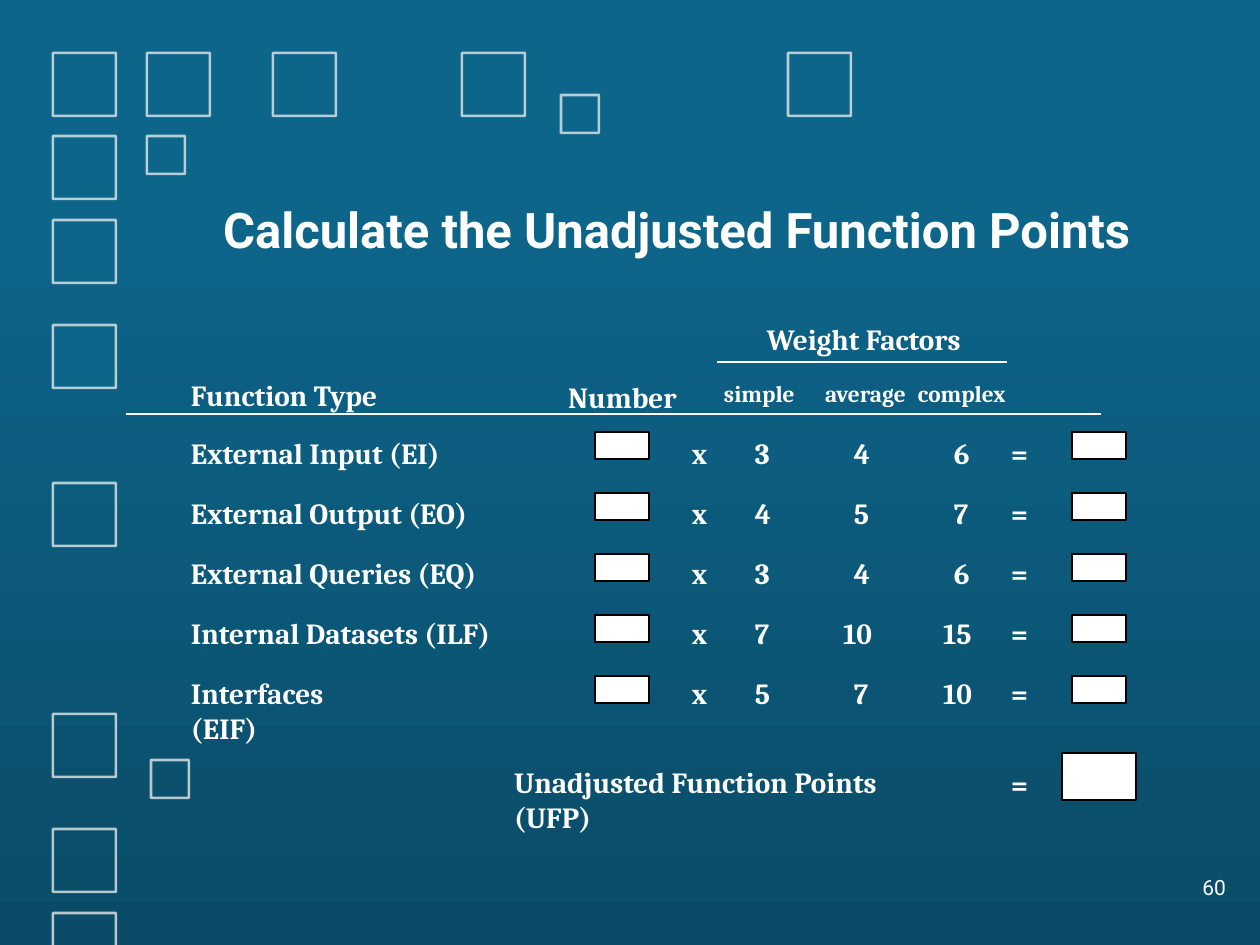
"""Build the slide that calculates unadjusted function points."""
from copy import deepcopy
from dataclasses import dataclass

from lxml import etree
from pptx import Presentation
from pptx.dml.color import RGBColor
from pptx.enum.shapes import MSO_CONNECTOR, MSO_SHAPE
from pptx.enum.text import MSO_ANCHOR, MSO_AUTO_SIZE, PP_ALIGN
from pptx.oxml.ns import qn
from pptx.shapes.autoshape import Shape
from pptx.slide import Slide
from pptx.util import Emu, Pt

SCALE = 914400 / 126
RECTANGLE = MSO_SHAPE.RECTANGLE
STRAIGHT = MSO_CONNECTOR.STRAIGHT
LEFT, CENTER, RIGHT = PP_ALIGN.LEFT, PP_ALIGN.CENTER, PP_ALIGN.RIGHT
TOP, MIDDLE, BOTTOM = MSO_ANCHOR.TOP, MSO_ANCHOR.MIDDLE, MSO_ANCHOR.BOTTOM
GROW, FIXED = MSO_AUTO_SIZE.SHAPE_TO_FIT_TEXT, MSO_AUTO_SIZE.NONE

BLUE = RGBColor(0x0D, 0x65, 0x8A)
DEEP_BLUE = RGBColor(0x0A, 0x4C, 0x68)
PALE = RGBColor(0xF2, 0xF2, 0xF2)
WHITE = RGBColor(0xFF, 0xFF, 0xFF)
BLACK = RGBColor(0x00, 0x00, 0x00)

BODY = {"name": "Cambria", "size": Pt(16.7), "bold": True}
SMALL = {**BODY, "size": Pt(13.3)}
TITLE = {"name": "Roboto", "size": Pt(28), "bold": True}
FOOTER = {"name": "Roboto", "size": Pt(12), "bold": False}

LINE_HEIGHT = 35
NAME_LEFT, TIMES_LEFT, EQUALS_LEFT = 191, 692, 1011
WEIGHT_LEFTS = (755, 854, 954)
DIGIT_WIDTH = 15
ROW_TOP, ROW_STEP = 435, 60
ENTRY_TOP, ENTRY_STEP = 432, 61
ENTRY_LEFTS = (595, 1072)
SQUARE_LEFT, SQUARE_TOP = 53, 53
FILLED_ABOVE = 400


@dataclass(frozen=True)
class Square:
    left: int
    top: int
    size: int = 63


@dataclass(frozen=True)
class FunctionType:
    name: str
    width: int
    weights: tuple[int, int, int]
    wrap: bool = False


@dataclass(frozen=True)
class Heading:
    text: str
    left: int
    top: int
    width: int
    style: dict


SQUARES = [
    *(Square(left, SQUARE_TOP) for left in (SQUARE_LEFT, 147, 273, 462, 788)),
    *(Square(SQUARE_LEFT, top) for top in (136, 220, 325, 483, 714, 829, 913)),
    Square(151, 760, 38), Square(147, 136, 38), Square(561, 95, 38),
]
HEADINGS = [
    Heading("Weight Factors", 767, 321, 200, BODY),
    Heading("Function Type", NAME_LEFT, 377, 195, BODY),
    Heading("simple", 724, 379, 73, SMALL),
    Heading("average", 825, 379, 82, SMALL),
    Heading("complex", 918, 379, 91, SMALL),
]
FUNCTION_TYPES = [
    FunctionType("External Input (EI)", 249, (3, 4, 6)),
    FunctionType("External Output (EO)", 285, (4, 5, 7)),
    FunctionType("External Queries (EQ)", 294, (3, 4, 6)),
    FunctionType("Internal Datasets (ILF)", 302, (7, 10, 15)),
    FunctionType("Interfaces (EIF)", 190, (5, 7, 10), wrap=True),
]


def px(*lengths: int) -> list[Emu]:
    """Turn pixel lengths into EMU."""
    return [Emu(round(length * SCALE)) for length in lengths]


def write(box: Shape, text: str, style: dict, align: PP_ALIGN = LEFT,
          anchor: MSO_ANCHOR = TOP, wrap: bool = False, grow: bool = True,
          margins: tuple[int, int] = (0, 0)) -> None:
    """Put one formatted paragraph into a shape."""
    frame = box.text_frame
    across, down = px(*margins)
    frame_format = {
        "word_wrap": wrap, "vertical_anchor": anchor,
        "auto_size": GROW if grow else FIXED,
        "margin_left": across, "margin_right": across,
        "margin_top": down, "margin_bottom": down,
    }
    for name, value in frame_format.items():
        setattr(frame, name, value)
    para = frame.paragraphs[0]
    para.alignment = align
    span = para.add_run()
    span.text = text
    for name, value in style.items():
        setattr(span.font, name, value)
    span.font.color.rgb = WHITE


def add_label(page: Slide, text: str, left: int, top: int, width: int,
              style: dict = BODY, align: PP_ALIGN = LEFT, wrap: bool = False) -> None:
    """Add a one-line label without margins."""
    box = page.shapes.add_textbox(*px(left, top, width, LINE_HEIGHT))
    write(box, text, style, align, wrap=wrap)


def add_rectangle(page: Slide, left: int, top: int, width: int, height: int,
                  fill: RGBColor | None, line: RGBColor, weight: float) -> Shape:
    """Add an outlined rectangle, filled when a colour is given."""
    box = page.shapes.add_shape(RECTANGLE, *px(left, top, width, height))
    box.shadow.inherit = False
    if fill is None:
        box.fill.background()
    else:
        box.fill.solid()
        box.fill.fore_color.rgb = fill
    box.line.color.rgb = line
    box.line.width = Pt(weight)
    return box


def add_square(page: Slide, square: Square) -> None:
    """Add a decorative square with a translucent outline."""
    fill = BLUE if square.top < FILLED_ABOVE else None
    box = add_rectangle(page, square.left, square.top, square.size, square.size,
                        fill, PALE, 1.5)
    color = box.element.spPr.find(qn("a:ln")).find(".//" + qn("a:srgbClr"))
    etree.SubElement(color, qn("a:alpha"), val="74000")


def add_rule(page: Slide, left: int, right: int, top: int) -> None:
    """Add a thin horizontal white line."""
    rule = page.shapes.add_connector(STRAIGHT, *px(left, top, right, top))
    rule.line.color.rgb = WHITE
    rule.line.width = Pt(1)
    etree.SubElement(rule.element.spPr, qn("a:effectLst"))


def add_function_type(page: Slide, index: int, kind: FunctionType) -> None:
    """Add the texts of one table row."""
    top = ROW_TOP + index * ROW_STEP
    add_label(page, kind.name, NAME_LEFT, top, kind.width, wrap=kind.wrap)
    add_label(page, "x", TIMES_LEFT, top, DIGIT_WIDTH)
    for left, weight in zip(WEIGHT_LEFTS, kind.weights):
        extra = len(str(weight)) - 1
        add_label(page, str(weight), left - 11 * extra, top, DIGIT_WIDTH + 14 * extra)
    add_label(page, "=", EQUALS_LEFT, top, 18)


def paint_background(page: Slide) -> None:
    """Shade the page from blue down to deep blue."""
    fill = page.background.fill
    fill.gradient()
    fill.gradient_angle = 270
    first = next(page.element.iter(qn("a:gs")))
    first.addnext(deepcopy(first))
    stops = ((0, BLUE), (0.21, BLUE), (1, DEEP_BLUE))
    for stop, (position, color) in zip(fill.gradient_stops, stops):
        stop.position = position
        stop.color.rgb = color


def main() -> None:
    """Build and save the deck."""
    deck = Presentation()
    deck.slide_width, deck.slide_height = px(1260, 945)
    page = deck.slides.add_slide(deck.slide_layouts[5])
    paint_background(page)
    for square in SQUARES:
        add_square(page, square)

    title = page.shapes.title
    title.left, title.top, title.width, title.height = px(213, 147, 1022, 116)
    write(title, "Calculate the Unadjusted Function Points", TITLE,
          anchor=BOTTOM, wrap=True, grow=False, margins=(10, 5))

    for heading in HEADINGS:
        add_label(page, heading.text, heading.left, heading.top, heading.width, heading.style)
    add_label(page, "Number", 561, 379, 123, align=CENTER, wrap=True)
    for index, kind in enumerate(FUNCTION_TYPES):
        add_function_type(page, index, kind)
        for left in ENTRY_LEFTS:
            add_rectangle(page, left, ENTRY_TOP + index * ENTRY_STEP, 54, 27, WHITE, BLACK, 1)

    add_label(page, "Unadjusted Function Points (UFP)", 514, 764, 445)
    add_label(page, "=", EQUALS_LEFT, 766, 18)
    add_rectangle(page, 1062, 753, 74, 47, WHITE, BLACK, 1)
    add_rule(page, 126, 1101, 414)
    add_rule(page, 717, 1007, 362)
    number = page.shapes.add_textbox(*px(977, 861, 262, 53))
    write(number, "60", FOOTER, RIGHT, MIDDLE, grow=False, margins=(13, 6))
    deck.save("out.pptx")


if __name__ == "__main__":
    main()
